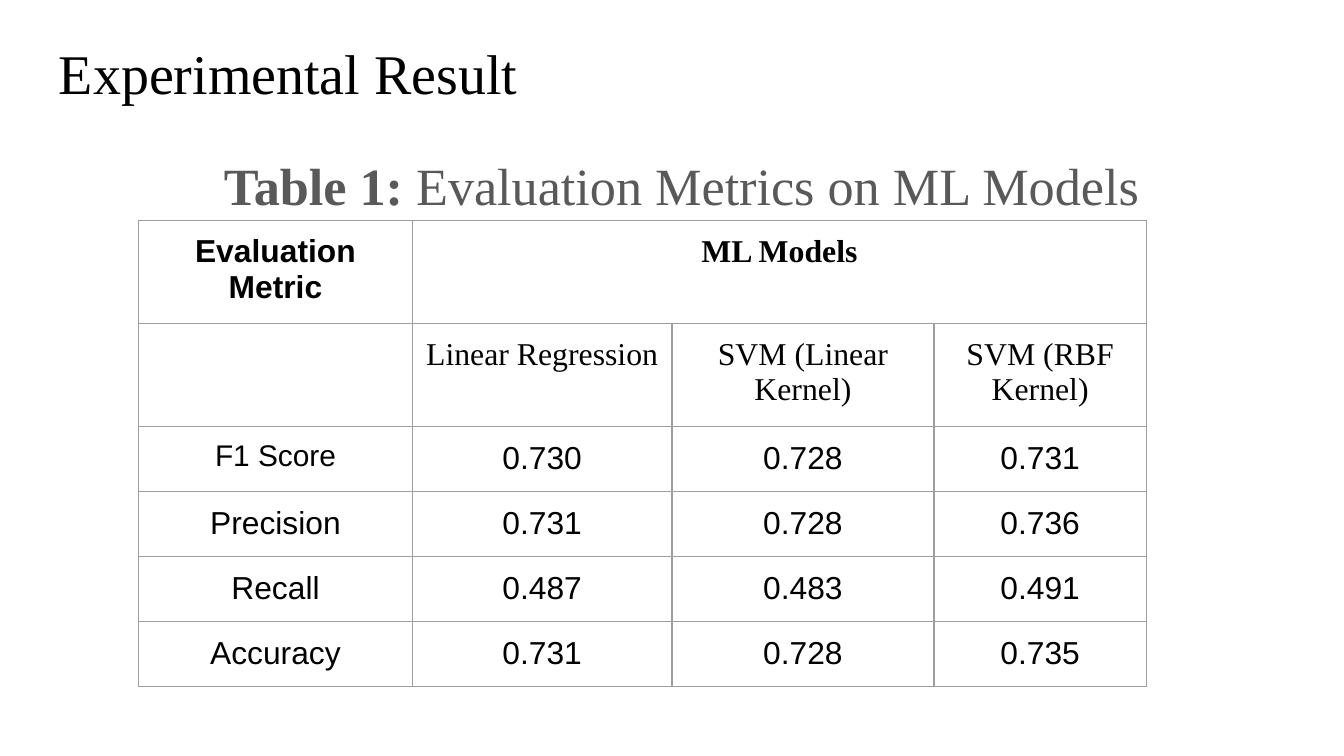
from lxml import etree
from pptx import Presentation
from pptx import util as u
from pptx.dml.color import RGBColor
from pptx.enum import text
from pptx.oxml import ns

BLACK = RGBColor(0x00, 0x00, 0x00)
GRAY = RGBColor(0x59, 0x59, 0x59)
RULE = RGBColor(0x9E, 0x9E, 0x9E)
SERIF, SANS = "Times New Roman", "Arial"

# Widescreen page, 16 to 9
deck = Presentation()
deck.slide_width, deck.slide_height = u.Inches(10), u.Inches(10 * 9 / 16)
slide = deck.slides.add_slide(deck.slide_layouts[6])


def write(para, words, size, face, color=BLACK, bold=False):
    run = para.add_run()
    run.text = words
    font = run.font
    font.size, font.name, font.bold = u.Pt(size), face, bold
    font.color.rgb = color


def add_box(left, top, width, height, anchor):
    box = slide.shapes.add_textbox(*map(u.Inches, (left, top, width, height)))
    frame = box.text_frame
    frame.word_wrap = True
    frame.vertical_anchor = anchor
    frame.margin_left = frame.margin_right = u.Inches(0.1)
    frame.margin_top = frame.margin_bottom = u.Inches(0.1)
    return frame.paragraphs[0]


# Title and caption
title = add_box(0.34, 0.22, 9.32, 0.67, text.MSO_ANCHOR.BOTTOM)
write(title, "Experimental Result", 30, SERIF)

label = add_box(0.41, 1.04, 9.32, 4.51, text.MSO_ANCHOR.TOP)
label.alignment = text.PP_ALIGN.CENTER
write(label, "Table 1: ", 28, SERIF, GRAY, True)
write(label, "Evaluation Metrics on ML Models", 28, SERIF, GRAY)

# Table grid: equal rows, which grow to fit their text
data = [
    ["Evaluation Metric", "ML Models", "", ""],
    ["", "Linear Regression", "SVM (Linear Kernel)", "SVM (RBF Kernel)"],
    ["F1 Score", "0.730", "0.728", "0.731"],
    ["Precision", "0.731", "0.728", "0.736"],
    ["Recall", "0.487", "0.483", "0.491"],
    ["Accuracy", "0.731", "0.728", "0.735"],
]
cols = [2.04, 1.93, 1.95, 1.58]
high = 0.42
frame = slide.shapes.add_table(
    len(data), len(cols), u.Inches(1.03), u.Inches(1.64),
    u.Inches(sum(cols)), u.Inches(high * len(data)))
table = frame.table
table.first_row = table.horz_banding = False
for col, width in zip(table.columns, cols):
    col.width = u.Inches(width)
for row in table.rows:
    row.height = u.Inches(high)
table.cell(0, 1).merge(table.cell(0, 3))

# Cell text, borders and fill
for r, line in enumerate(data):
    for c, words in enumerate(line):
        cell = table.cell(r, c)
        cell.margin_left = cell.margin_right = u.Inches(0.09)
        cell.margin_top = cell.margin_bottom = u.Inches(0.1)
        para = cell.text_frame.paragraphs[0]
        para.alignment = text.PP_ALIGN.CENTER
        if words:
            face = SERIF if r < 2 and c > 0 else SANS
            size = 16 if words == "F1 Score" else 17
            write(para, words, size, face, bold=r == 0)
        props = cell._tc.get_or_add_tcPr()
        for side in ("lnL", "lnR", "lnT", "lnB"):
            edge = etree.SubElement(props, ns.qn("a:" + side), w=str(u.Pt(0.75)))
            fill = etree.SubElement(edge, ns.qn("a:solidFill"))
            etree.SubElement(fill, ns.qn("a:srgbClr"), val=str(RULE))
        cell.fill.background()

deck.save("out.pptx")
